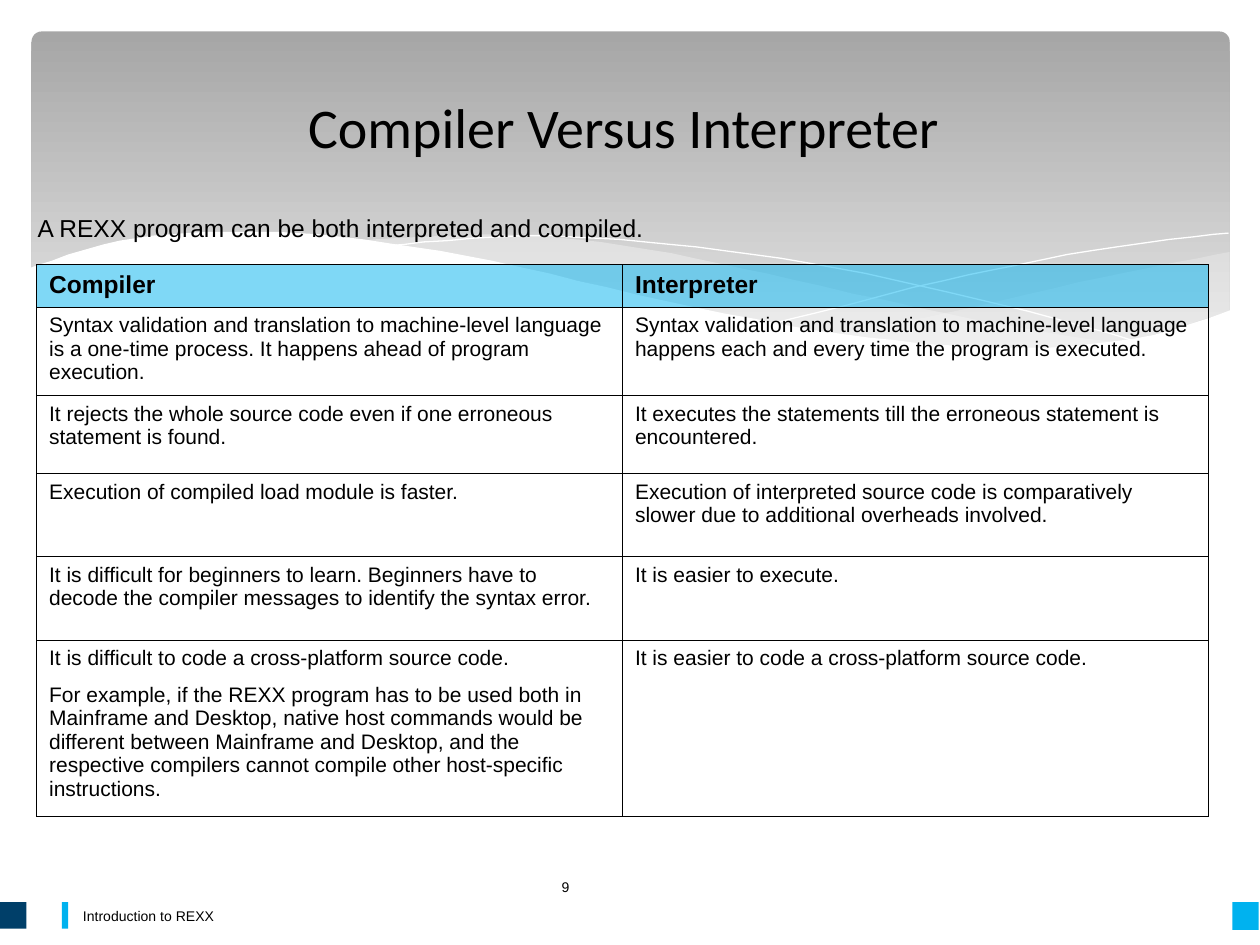
from dataclasses import dataclass
from typing import Optional

from lxml import etree
from pptx import Presentation
from pptx import util as u
from pptx.dml.color import RGBColor
from pptx.enum import shapes as sh, text as tx
from pptx.oxml.ns import qn

EMU_PER_PX = 9144  # 100 px to the inch
CURVE_STEPS = 6

COLORS = {
    "black": "000000", "white": "FFFFFF", "mist": "F8F8F8",
    "panel_top": "A6A6A6", "panel_bottom": "EBEBEB",
    "navy": "003F69", "cyan": "00B2EF",
}


@dataclass
class Wave:
    edges: list  # each edge is a list of knots joined by a smooth curve
    fill: Optional[str] = None
    opacity: int = 100


@dataclass
class Block:
    box: tuple
    color: str


@dataclass
class Label:
    box: tuple
    words: str
    size: int
    anchor: tx.MSO_ANCHOR


WAVES = [
    Wave([[(976, 200), (876, 220), (753, 248), (661, 265)],
          [(661, 265), (732, 274), (803, 278), (889, 272), (976, 247)]], "mist", 29),
    Wave([[(893, 273), (775, 254), (629, 222), (514, 198), (399, 186), (286, 191)],
          [(286, 191), (404, 211), (530, 240), (634, 261), (748, 276), (818, 279),
           (893, 273)]], "mist", 40),
    Wave([[(309, 195), (416, 187), (532, 194), (665, 213), (795, 242), (907, 272)]]),
    Wave([[(613, 257), (748, 223), (866, 199), (975, 185)]]),
    Wave([[(977, 246), (899, 269), (793, 276), (668, 265), (529, 239), (391, 207),
           (271, 188), (176, 184), (95, 191), (23, 213)],
          [(23, 329), (977, 329)]], "white"),
]

FOOTER_BLOCKS = [
    Block((0, 716, 21, 21), "navy"),
    Block((978, 716, 21, 22), "cyan"),
    Block((49, 716, 5, 21), "cyan"),
]

LABELS = [
    Label((56, 714, 779, 26), "Introduction to REXX", 8, tx.MSO_ANCHOR.MIDDLE),
    Label((436, 684, 127, 40), "9", 8, tx.MSO_ANCHOR.MIDDLE),
    Label((20, 164, 961, 54), "A REXX program can be both interpreted and compiled.",
          14, tx.MSO_ANCHOR.TOP),
]

COMPARISON = [
    (34, "Compiler", "Interpreter"),
    (70, "Syntax validation and translation to machine-level language is a one-time "
         "process. It happens ahead of program execution.",
     "Syntax validation and translation to machine-level language happens each and "
     "every time the program is executed."),
    (62, "It rejects the whole source code even if one erroneous statement is found.",
     "It executes the statements till the erroneous statement is encountered."),
    (66, "Execution of compiled load module is faster.",
     "Execution of interpreted source code is comparatively slower due to additional "
     "overheads involved."),
    (66, "It is difficult for beginners to learn. Beginners have to decode the compiler "
         "messages to identify the syntax error.",
     "It is easier to execute."),
    (140, "It is difficult to code a cross-platform source code.\n"
          "For example, if the REXX program has to be used both in Mainframe and Desktop, "
          "native host commands would be different between Mainframe and Desktop, and the "
          "respective compilers cannot compile other host-specific instructions.",
     "It is easier to code a cross-platform source code."),
]


def px(*lengths: int) -> list:
    return [u.Emu(length * EMU_PER_PX) for length in lengths]


def rgb(name: str) -> RGBColor:
    return RGBColor.from_string(COLORS[name])


def paint(fill, color: str, opacity: int = 100) -> None:
    fill.solid()
    fill.fore_color.rgb = rgb(color)
    if opacity < 100:
        tint = fill._xPr.find(".//" + qn("a:srgbClr"))
        etree.SubElement(tint, qn("a:alpha"), val=str(opacity * 1000))


def write(frame, words: str, size: int, face: str = "Arial", bold: bool = False) -> None:
    frame.word_wrap = True
    frame.text = words
    style = {"name": face, "size": u.Pt(size), "bold": bold}
    for index, paragraph in enumerate(frame.paragraphs):
        if index:
            paragraph.space_before = u.Pt(7.5)
        for key, value in style.items():
            setattr(paragraph.font, key, value)
        paragraph.font.color.rgb = rgb("black")


def smooth(knots: list) -> list:
    """Points of a Catmull-Rom curve through the knots."""
    padded = [knots[0], *knots, knots[-1]]
    points = [knots[0]]
    for quad in zip(padded, padded[1:], padded[2:], padded[3:]):
        for step in range(1, CURVE_STEPS + 1):
            t = step / CURVE_STEPS
            points.append(tuple(
                b + t / 2 * (c - a + t * (2 * a - 5 * b + 4 * c - d
                                          + t * (3 * b - a - 3 * c + d)))
                for a, b, c, d in zip(*quad)))
    return points


def add_panel(slide) -> None:
    panel = slide.shapes.add_shape(sh.MSO_SHAPE.ROUNDED_RECTANGLE, *px(25, 25, 951, 270))
    panel.adjustments[0] = 0.03
    panel.shadow.inherit = False
    panel.line.fill.background()
    panel.fill.gradient()
    panel.fill.gradient_angle = 270
    for stop, color in zip(panel.fill.gradient_stops, ("panel_top", "panel_bottom")):
        stop.color.rgb = rgb(color)


def add_wave(slide, wave: Wave) -> None:
    start, *rest = [point for edge in wave.edges for point in smooth(edge)]
    builder = slide.shapes.build_freeform(*start, scale=EMU_PER_PX)
    builder.add_line_segments(rest, close=wave.fill is not None)
    curve = builder.convert_to_shape()
    curve.shadow.inherit = False
    if wave.fill:
        paint(curve.fill, wave.fill, wave.opacity)
        curve.line.fill.background()
    else:
        curve.fill.background()
        curve.line.color.rgb = rgb("white")
        curve.line.width = 0


def add_block(slide, block: Block) -> None:
    bar = slide.shapes.add_shape(sh.MSO_SHAPE.RECTANGLE, *px(*block.box))
    bar.shadow.inherit = False
    paint(bar.fill, block.color)
    bar.line.fill.background()


def add_label(slide, label: Label) -> None:
    frame = slide.shapes.add_textbox(*px(*label.box)).text_frame
    write(frame, label.words, label.size)
    frame.vertical_anchor = label.anchor


def place_title(slide) -> None:
    title = slide.shapes.title
    title.left, title.top, title.width, title.height = px(20, 65, 950, 70)
    write(title.text_frame, "Compiler Versus Interpreter", 32, "Calibri")
    title.text_frame.vertical_anchor = tx.MSO_ANCHOR.MIDDLE
    title.text_frame.paragraphs[0].alignment = tx.PP_ALIGN.CENTER
    title.element.getparent().append(title.element)  # in front of the panel


def add_borders(cell) -> None:
    properties = cell._tc.get_or_add_tcPr()
    for index, side in enumerate(("lnL", "lnR", "lnT", "lnB")):
        edge = etree.Element(qn(f"a:{side}"), w=str(u.Pt(0.45)))
        ink = etree.SubElement(edge, qn("a:solidFill"))
        etree.SubElement(ink, qn("a:srgbClr"), val=COLORS["black"])
        properties.insert(index, edge)


def add_comparison(slide) -> None:
    height = sum(row[0] for row in COMPARISON)
    table = slide.shapes.add_table(len(COMPARISON), 2, *px(29, 210, 930, height)).table
    table.horz_banding = table.first_row = False
    for r, (row_height, *sides) in enumerate(COMPARISON):
        table.rows[r].height = px(row_height)[0]
        for c, words in enumerate(sides):
            cell, heading = table.cell(r, c), r == 0
            write(cell.text_frame, words, 14 if heading else 12, bold=heading)
            if heading:
                paint(cell.fill, "cyan", 50)
            else:
                cell.fill.background()
            add_borders(cell)


def main() -> None:
    deck = Presentation()
    deck.slide_width, deck.slide_height = px(1000, 750)
    slide = deck.slides.add_slide(deck.slide_layouts[5])
    add_panel(slide)
    for wave in WAVES:
        add_wave(slide, wave)
    for block in FOOTER_BLOCKS:
        add_block(slide, block)
    place_title(slide)
    add_comparison(slide)
    for label in LABELS:
        add_label(slide, label)
    deck.save("out.pptx")


if __name__ == "__main__":
    main()
